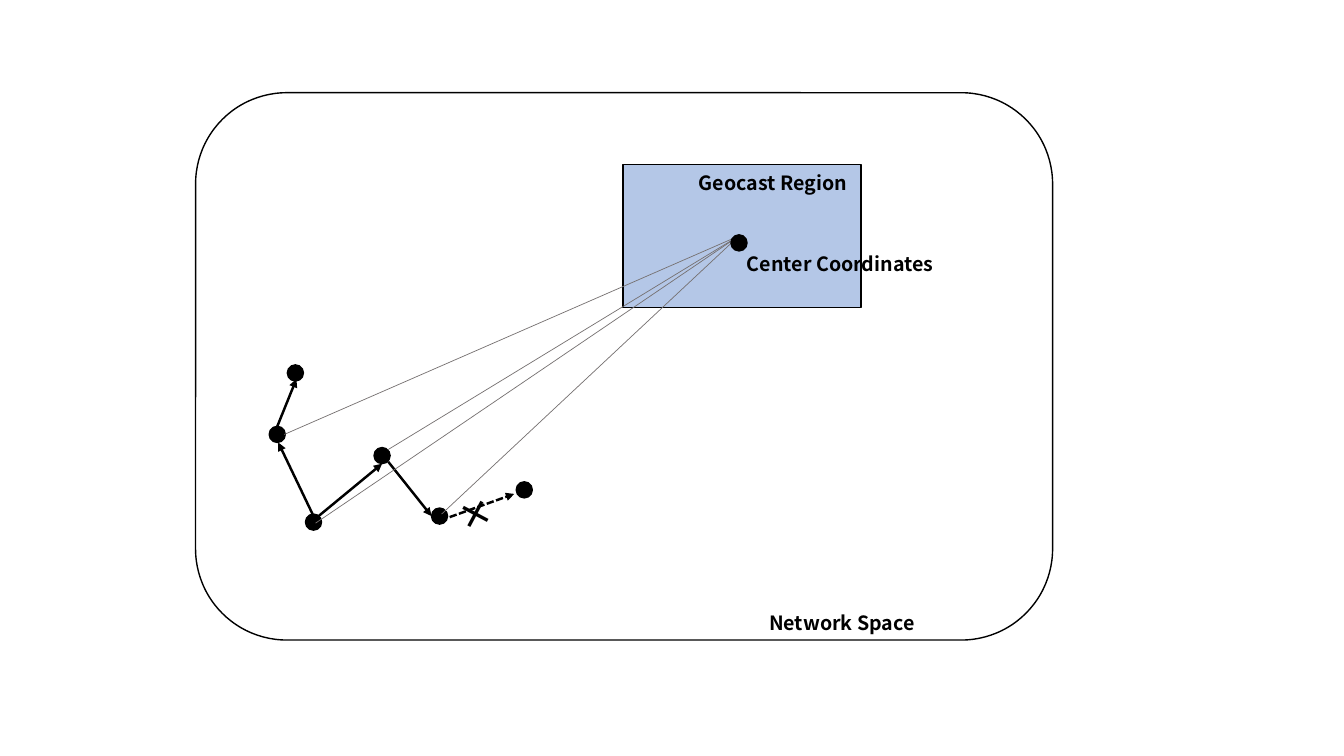
import pptx
import pptx.util
import pptx.dml.color
import pptx.enum.dml
import pptx.enum.shapes
import pptx.enum.text
import pptx.oxml.ns
import lxml.etree

RGBColor = pptx.dml.color.RGBColor
Shapes = pptx.enum.shapes.MSO_SHAPE
BLACK = RGBColor(0x00, 0x00, 0x00)
WHITE = RGBColor(0xFF, 0xFF, 0xFF)
GRAY = RGBColor(0x76, 0x71, 0x71)
REGION_BLUE = RGBColor(0xB4, 0xC7, 0xE7)


class Diagram:
    """Draws on one slide; lengths are cells of a square grid, 75 rows high."""

    font_name = "Noto Sans CJK JP"
    rows = 75
    node_size = 1.6

    def __init__(self, presentation):
        self.slide = presentation.slides.add_slide(presentation.slide_layouts[6])
        self.cell = presentation.slide_height / self.rows

    def lengths(self, *cells):
        return [pptx.util.Emu(round(count * self.cell)) for count in cells]

    def shape(self, kind, left, top, width, height, fill):
        shape = self.slide.shapes.add_shape(kind, *self.lengths(left, top, width, height))
        shape.shadow.inherit = False
        shape.fill.solid()
        shape.fill.fore_color.rgb = fill
        shape.line.color.rgb = BLACK
        shape.line.width = pptx.util.Pt(1)

    def node(self, center_x, center_y):
        radius = self.node_size / 2
        self.shape(Shapes.OVAL, center_x - radius, center_y - radius,
                   self.node_size, self.node_size, BLACK)

    def line(self, start, end, color, width):
        connector = self.slide.shapes.add_connector(
            pptx.enum.shapes.MSO_CONNECTOR.STRAIGHT, *self.lengths(*start, *end))
        connector.line.color.rgb = color
        connector.line.width = pptx.util.Pt(width)
        properties = connector.element.spPr
        lxml.etree.SubElement(properties, pptx.oxml.ns.qn("a:effectLst"))
        return connector

    def arrow(self, start, end, dashed=False):
        line = self.line(start, end, BLACK, 1.75).line
        if dashed:
            line.dash_style = pptx.enum.dml.MSO_LINE.SQUARE_DOT
            line.dash_style = pptx.enum.dml.MSO_LINE.SQUARE_DOT
        outline = line._get_or_add_ln()
        lxml.etree.SubElement(outline, pptx.oxml.ns.qn("a:tailEnd"), type="triangle")

    def label(self, text, left, top, width, height=3.4, size=14, wrap=True, rotation=0):
        box = self.slide.shapes.add_textbox(*self.lengths(left, top, width, height))
        box.rotation = rotation
        box.text_frame.word_wrap = wrap
        box.text_frame.auto_size = pptx.enum.text.MSO_AUTO_SIZE.SHAPE_TO_FIT_TEXT
        paragraph = box.text_frame.paragraphs[0]
        paragraph.text = text
        paragraph.font.name = self.font_name
        paragraph.font.size = pptx.util.Pt(size)
        paragraph.font.bold = True
        paragraph.font.color.rgb = BLACK


def main():
    presentation = pptx.Presentation()
    presentation.slide_width = pptx.util.Inches(13.33)
    presentation.slide_height = pptx.util.Inches(7.5)
    diagram = Diagram(presentation)

    diagram.shape(Shapes.ROUNDED_RECTANGLE, 19.4, 9.2, 85, 54.3, WHITE)
    diagram.shape(Shapes.RECTANGLE, 61.8, 16.3, 23.6, 14.2, REGION_BLUE)
    diagram.label("Geocast Region", 68.3, 16.5, 18.2)
    diagram.label("Network Space", 75.3, 60.1, 25.3)

    node_centers = [(31.1, 51.8), (37.9, 45.2), (27.5, 43.1),
                    (43.6, 51.2), (29.3, 37), (52, 48.6)]
    for center in node_centers:
        diagram.node(*center)

    hops = [((31.6, 51.2), (37.9, 46)), ((31, 51), (27.6, 43.9)),
            ((27.5, 42.3), (29.4, 37.6)), ((38.5, 45.8), (42.8, 51.2))]
    for start, end in hops:
        diagram.arrow(start, end)
    diagram.arrow((44.6, 51.3), (51, 49), dashed=True)
    diagram.label("×", 44.5, 48.5, 5.4, 5, size=24, wrap=False, rotation=343)

    region_center = (73.3, 24.1)
    for node_edge in [(38.5, 44.6), (43.8, 51), (28.2, 43.1), (31.3, 51.9)]:
        diagram.line((73.3, 23.4), node_edge, GRAY, 0.5)
    diagram.node(*region_center)
    diagram.label("Center Coordinates", 73.1, 24.5, 20.9)

    presentation.save("out.pptx")


if __name__ == "__main__":
    main()
